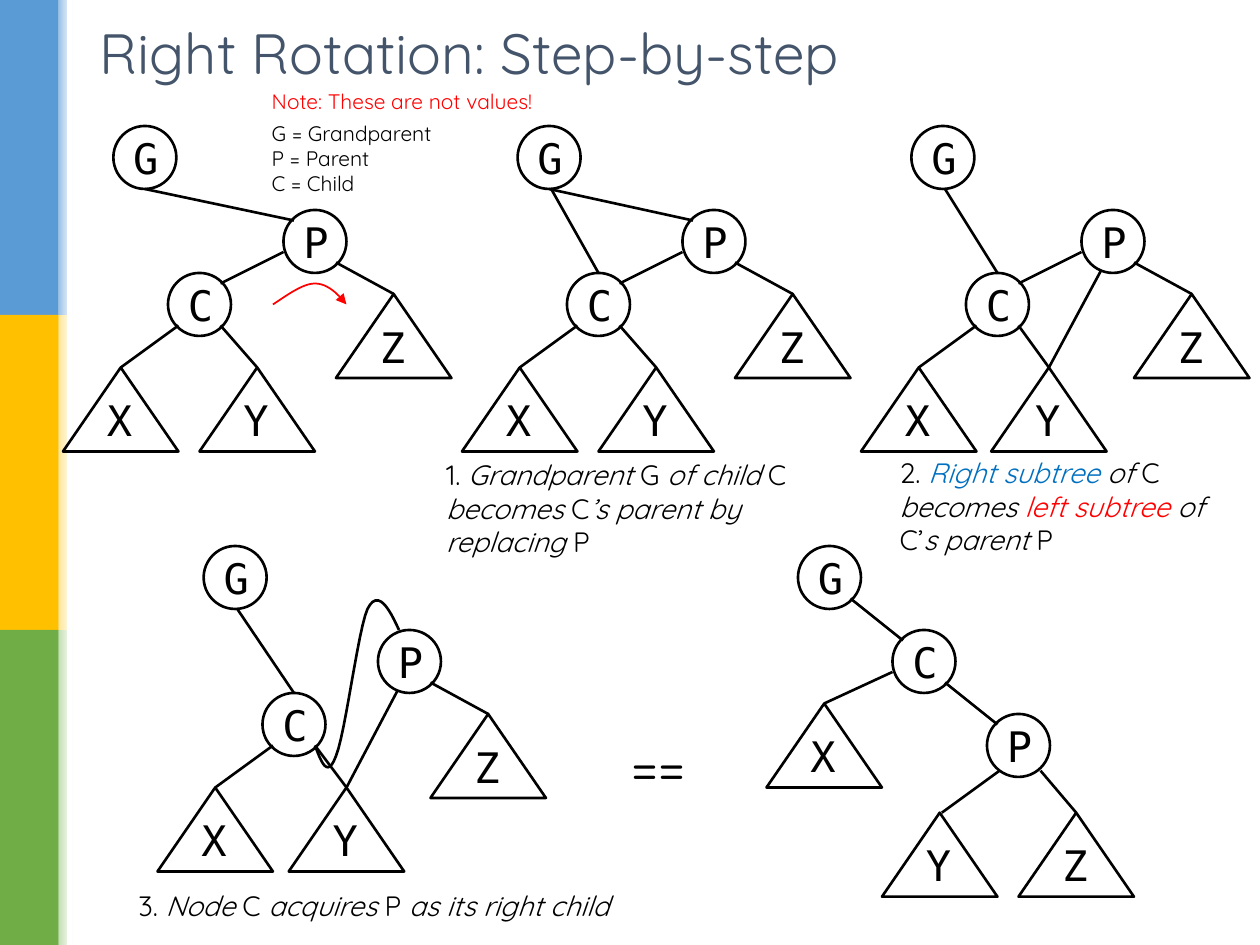
from dataclasses import dataclass

from lxml.etree import SubElement
from pptx import Presentation
from pptx.dml.color import RGBColor as Rgb
from pptx.enum.shapes import MSO_CONNECTOR as Link, MSO_SHAPE as Shape
from pptx.enum.text import MSO_ANCHOR as Anchor, MSO_AUTO_SIZE as Fit, PP_ALIGN as Align
from pptx.oxml.ns import qn
from pptx.util import Inches, Pt


@dataclass(frozen=True)
class Theme:
    sans: str = "Quicksand"
    mono: str = "DejaVu Sans Mono"
    ink: str = "000000"
    paper: str = "FFFFFF"
    title: str = "44546A"
    red: str = "FF0000"
    blue: str = "0070C0"
    bands: tuple = (("5B9BD5", "9DC3E6"), ("FFC000", "FFE699"), ("70AD47", "C5E0B4"))
    title_size: float = 32.4
    equals_size: int = 32
    node_size: int = 24
    step_size: int = 16
    note_size: int = 12
    stroke: float = 1.5


def grid(*cells):
    """Turn columns and rows, each a twelfth of an inch, into lengths."""
    return [Inches(cell / 12) for cell in cells]


class Page:
    def __init__(self, deck, theme):
        self.theme = theme
        self.slide = deck.slides.add_slide(deck.slide_layouts[5])
        self.shapes = self.slide.shapes

    def style(self, span, size, color, font=None, italic=None):
        span.font.name = font or self.theme.sans
        span.font.size = Pt(size)
        span.font.color.rgb = Rgb.from_string(color)
        span.font.italic = italic

    def stroke(self, shape, color=None, width=None):
        shape.line.color.rgb = Rgb.from_string(color or self.theme.ink)
        shape.line.width = Pt(width or self.theme.stroke)

    def title(self, text):
        box = self.shapes.title
        box.left, box.top, box.width, box.height = grid(8.3, 0.8, 103.4, 8.2)
        frame = box.text_frame
        frame.text = text
        frame.auto_size = Fit.NONE
        frame.vertical_anchor = Anchor.MIDDLE
        frame.paragraphs[0].alignment = Align.LEFT
        self.style(frame.paragraphs[0].runs[0], self.theme.title_size, self.theme.title)

    def block(self, left, top, width, height, color, fade=None):
        shape = self.shapes.add_shape(Shape.RECTANGLE, *grid(left, top, width, height))
        shape.shadow.inherit = False
        shape.line.fill.background()
        if fade:
            shape.fill.gradient()
            shape.fill.gradient_angle = 0
            for stop, tint in zip(shape.fill.gradient_stops, (color, fade)):
                stop.color.rgb = Rgb.from_string(tint)
        else:
            shape.fill.solid()
            shape.fill.fore_color.rgb = Rgb.from_string(color)

    def frame(self, left, top, width, height, wrap=True):
        frame = self.shapes.add_textbox(*grid(left, top, width, height)).text_frame
        frame.word_wrap = wrap
        frame.auto_size = Fit.SHAPE_TO_FIT_TEXT
        return frame

    def lines(self, frame, rows, size, font=None):
        """Write one paragraph for each (text, color) row."""
        frame.text = "\n".join(text for text, _ in rows)
        for para, (_, color) in zip(frame.paragraphs, rows):
            self.style(para.runs[0], size, color, font)

    def step(self, place, spans, wrap):
        """Write a paragraph of (text, italic, color) spans; a newline breaks the line."""
        para = self.frame(*place, wrap=wrap).paragraphs[0]
        for text, italic, *color in spans:
            for index, part in enumerate(text.split("\n")):
                if index:
                    para.add_line_break()
                if part:
                    span = para.add_run()
                    span.text = part
                    self.style(span, self.theme.step_size, (color or [self.theme.ink])[0],
                               italic=italic)

    def outline(self, kind, label, place, label_place, align):
        shape = self.shapes.add_shape(kind, *grid(*place))
        shape.shadow.inherit = False
        shape.fill.background()
        self.stroke(shape)
        frame = self.frame(*label_place, 6, 6)
        self.lines(frame, [(label, self.theme.ink)], self.theme.node_size, self.theme.mono)
        frame.paragraphs[0].alignment = align

    def node(self, label, col, row):
        self.outline(Shape.OVAL, label, (col, row, 6, 6), (col + 0.1, row), Align.CENTER)

    def subtree(self, label, col, row):
        self.outline(Shape.ISOSCELES_TRIANGLE, label, (col, row, 11, 8),
                     (col + 3, row + 2), Align.LEFT)

    def edge(self, *ends):
        line = self.shapes.add_connector(Link.STRAIGHT, *grid(*ends))
        self.stroke(line)
        SubElement(line._element.spPr, qn("a:effectLst"))

    def curve(self, start, *bends, color=None, width=None, arrow=False, steps=12):
        """Trace cubic bends, each given as two control points and an end."""
        points = []
        origin = start
        for bend in bends:
            corners = (origin, *bend)
            for step in range(1, steps + 1):
                t = step / steps
                weights = ((1 - t) ** 3, 3 * t * (1 - t) ** 2, 3 * t * t * (1 - t), t ** 3)
                points.append(grid(*(sum(w * corner[axis] for w, corner in zip(weights, corners))
                                     for axis in (0, 1))))
            origin = bend[-1]
        builder = self.shapes.build_freeform(*grid(*start))
        builder.add_line_segments(points, close=False)
        shape = builder.convert_to_shape()
        shape.shadow.inherit = False
        shape.fill.background()
        self.stroke(shape, color, width)
        if arrow:
            SubElement(shape.line._get_or_add_ln(), qn("a:tailEnd"), type="triangle")

    def tree(self, col, row, g, y, links):
        """Draw one stage; g and y are the columns of G and Y within it."""
        for label, x, level in (("X", 0, 23), ("Y", y, 23), ("Z", 26, 16)):
            self.subtree(label, col + x, row + level)
        for label, x, level in (("G", g, 0), ("P", 21, 8), ("C", 10, 14)):
            self.node(label, col + x, row + level)
        edges = {
            "CX": (5.5, 23, 11, 19),
            "CY": (y + 5.5, 23, 15, 19),
            "PZ": (31.5, 16, 26, 13),
            "PC": (15, 15, 21, 12),
            "GP": (22, 9, g + 3, 6),
            "GC": (g + 3.2, 6, 13, 14),
            "PY": (y + 5.5, 23, 22.9, 13.7),
        }
        for name in ["CX", "CY", "PZ", *links]:
            x1, y1, x2, y2 = edges[name]
            self.edge(col + x1, row + y1, col + x2, row + y2)


def main():
    theme = Theme()
    deck = Presentation()
    deck.slide_width, deck.slide_height = grid(120, 90)
    page = Page(deck, theme)

    # Side bands and title
    for index, (color, tint) in enumerate(theme.bands):
        page.block(0, 30 * index, 5.6, 30, color)
        page.block(5.6, 30 * index, 1.4, 30, tint, theme.paper)
    page.block(6.4, 0, 0.5, 90, theme.paper)
    page.title("Right Rotation: Step-by-step")

    # Stages of the rotation
    page.tree(6, 12, 4.8, 13, ["PC", "GP"])
    page.tree(44, 12, 5.3, 13, ["PC", "GP", "GC"])
    page.tree(82, 12, 4.8, 12.4, ["PC", "GC", "PY"])
    page.tree(15, 52, 4.4, 12.5, ["GC", "PY"])
    page.curve((30, 71), ((30.6, 72.6), (31.2, 74.2), (32, 72)),
               ((32.9, 69.8), (34.1, 60), (35, 58)), ((36, 56), (37.1, 58), (38, 60)))
    page.curve((26, 29), ((27.5, 28), (28.9, 27), (30, 27)), ((31.2, 27), (32.2, 28), (33, 29)),
               color=theme.red, width=1, arrow=True)

    # Result: G, C and P on one diagonal
    for index, label in enumerate("GCP"):
        page.node(label, 76 + 9 * index, 52 + 8 * index)
    for label, col, row in (("X", 73, 67), ("Y", 84, 77.4), ("Z", 97, 77.4)):
        page.subtree(label, col, row)
    for ends in ((86, 61, 81, 57), (95, 69, 90, 65), (78.5, 67, 85, 64),
                 (89.7, 77.4, 95.2, 73.4), (102.5, 77.4, 99.1, 73.4)):
        page.edge(*ends)
    page.lines(page.frame(59, 69, 9, 7.7), [("==", theme.ink)], theme.equals_size)

    # Step captions
    page.step((41.3, 43, 39.8, 10.9), [
        ("1. ", False), ("Grandparent", True), (" G ", False), ("of child", True),
        (" C \n", False), ("becomes", True), (" C", False),
        ("’s parent by \nreplacing", True), (" P", False)], wrap=False)
    page.step((84.5, 42.8, 33.4, 10.9), [
        ("2. ", False), ("Right subtree ", True, theme.blue), ("of", True), (" C ", False),
        ("becomes ", True), ("left subtree ", True, theme.red), ("of", True),
        (" C’", False), ("s parent", True), (" P", False)], wrap=True)
    page.step((12, 84, 51.1, 4.4), [
        ("3. ", False), ("Node", True), (" C ", False), ("acquires", True),
        (" P ", False), ("as its right child", True)], wrap=False)

    # Legend
    legend = page.frame(24.7, 7.8, 28.9, 11.5, wrap=False)
    page.lines(legend, [("Note: These are not values!", theme.red),
                        ("G = Grandparent", theme.ink), ("P = Parent", theme.ink),
                        ("C = Child", theme.ink)], theme.note_size)
    legend.paragraphs[1].space_before = Pt(4)

    deck.save("out.pptx")


if __name__ == "__main__":
    main()
